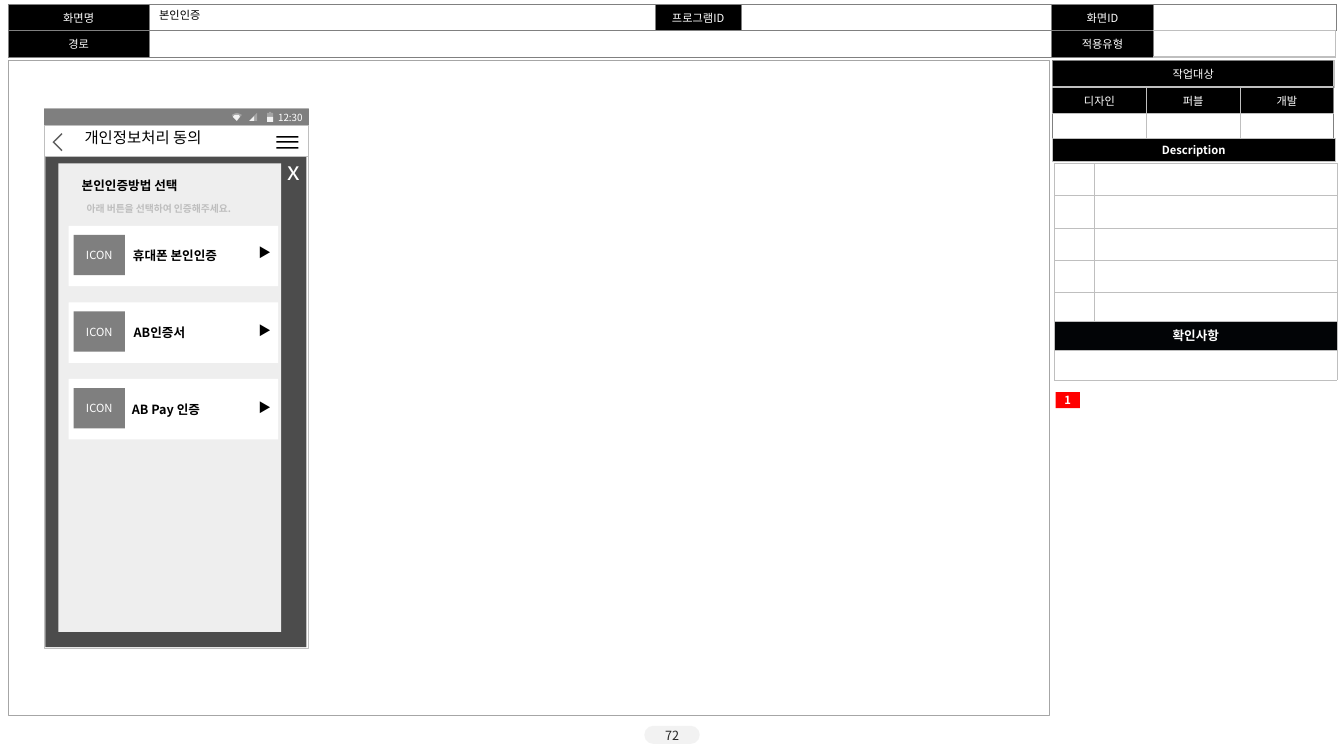
"""Wireframe slide: identity verification screen with its specification tables."""
import pptx
import pptx.dml.color
import pptx.enum.shapes
import pptx.enum.text
import pptx.oxml.ns
import pptx.util
from lxml import etree
from pptx.util import Inches


class Theme:
    font = "Noto Sans CJK KR"
    black, white, ink = "000000", "FFFFFF", "292929"
    notice, red, overlay = "020406", "FF0000", "4C4C4C"
    panel, pill, hint = "EEEEEE", "F2F2F2", "BEBEBE"
    icon, chevron = "7F7F7F", "5F5F5F"
    border, frame, rule = "808080", "A6A6A6", "BFBFBF"
    tiny, hint_size, small, medium, heading, close = 6, 7, 8, 9, 11, 18


qn = pptx.oxml.ns.qn
rgb = pptx.dml.color.RGBColor.from_string
RECT = pptx.enum.shapes.MSO_SHAPE.RECTANGLE
PILL = pptx.enum.shapes.MSO_SHAPE.ROUNDED_RECTANGLE
MIDDLE = pptx.enum.text.MSO_ANCHOR.MIDDLE
LEFT, CENTER = pptx.enum.text.PP_ALIGN.LEFT, pptx.enum.text.PP_ALIGN.CENTER


def write(tf, text, size, color, bold=False, align=CENTER, spacing=None):
    """Put one styled run in the first paragraph of a text frame."""
    p = tf.paragraphs[0]
    p.alignment = align
    if spacing:
        p.line_spacing = spacing
    r = p.add_run()
    r.text = text
    r.font.size = pptx.util.Pt(size)
    r.font.bold = bold
    r.font.color.rgb = rgb(color)
    r.font.name = Theme.font
    etree.SubElement(r.font._element, qn("a:ea"), typeface=Theme.font)


def paint(sp, fill, line=None, weight=0.25, alpha=None):
    """Give a shape its fill, outline and opacity."""
    sp.shadow.inherit = False
    if fill:
        sp.fill.solid()
        sp.fill.fore_color.rgb = rgb(fill)
    else:
        sp.fill.background()
    if alpha:
        color = sp._element.spPr.find(qn("a:solidFill"))[0]
        etree.SubElement(color, qn("a:alpha"), val=str(alpha * 1000))
    if line:
        sp.line.color.rgb = rgb(line)
        sp.line.width = pptx.util.Pt(weight)
    else:
        sp.line.fill.background()


prs = pptx.Presentation()
prs.slide_width, prs.slide_height = Inches(13.33), Inches(7.5)
s = prs.slides.add_slide(prs.slide_layouts[6])

thin, mid, thick = (Theme.border, 0.25), (Theme.border, 0.75), (Theme.rule, 1)
pale = (Theme.rule, 0.25)
tables = [
    dict(at=(0.08, 0.04), cols=[1.4, 5.02, 0.85, 3.08, 1.01, 1.81], rows=[0.25] * 2,
         outer=thin, inner=thin, spans=[((1, 1), (1, 3))], fill=None,
         head=Theme.black, size=Theme.small, bold=False, margin=(0.1, 0.05), spacing=None,
         labels={(0, 0): "화면명", (0, 2): "프로그램ID", (0, 4): "화면ID",
                 (1, 0): "경로", (1, 4): "적용유형"},
         edges={(0, 5, "B"): thick, (1, 5, "T"): thick, (1, 5, "R"): thick, (1, 5, "B"): thick}),
    dict(at=(10.44, 0.6), cols=[0.93] * 3, rows=[0.25] * 3,
         outer=mid, inner=thick, spans=[((0, 0), (0, 2))], fill=Theme.white,
         head=Theme.black, size=Theme.small, bold=False, margin=(0.1, 0.05), spacing=None,
         labels={(0, 0): "작업대상", (1, 0): "디자인", (1, 1): "퍼블", (1, 2): "개발"}, edges={}),
    dict(at=(10.46, 1.62), cols=[0.39, 2.41], rows=[0.32] * 4 + [0.29] * 3,
         outer=pale, inner=pale, spans=[((5, 0), (5, 1)), ((6, 0), (6, 1))], fill=Theme.white,
         head=Theme.notice, size=Theme.medium, bold=True, margin=(0.04, 0.04),
         spacing=pptx.util.Pt(12), labels={(5, 0): "확인사항"}, edges={}),
]
for t in tables:
    cols, rows = t["cols"], t["rows"]
    box = [Inches(v) for v in (*t["at"], sum(cols), sum(rows))]
    tbl = s.shapes.add_table(len(rows), len(cols), *box).table
    tbl.first_row = tbl.horz_banding = False
    for column, width in zip(tbl.columns, cols):
        column.width = Inches(width)
    for row, height in zip(tbl.rows, rows):
        row.height = Inches(height)
    for i in range(len(rows)):
        for j in range(len(cols)):
            cell = tbl.cell(i, j)
            cell.margin_left = cell.margin_right = Inches(t["margin"][0])
            cell.margin_top = cell.margin_bottom = Inches(t["margin"][1])
            cell.vertical_anchor = MIDDLE
            outside = {"L": j == 0, "R": j == len(cols) - 1, "T": i == 0, "B": i == len(rows) - 1}
            for side, is_outer in outside.items():
                color, weight = t["edges"].get((i, j, side), t["outer" if is_outer else "inner"])
                ln = etree.SubElement(cell._tc.get_or_add_tcPr(), qn("a:ln" + side),
                                      w=str(pptx.util.Pt(weight)))
                etree.SubElement(etree.SubElement(ln, qn("a:solidFill")), qn("a:srgbClr"), val=color)
            label = t["labels"].get((i, j))
            fill = t["head"] if label else t["fill"]
            if fill:
                cell.fill.solid()
                cell.fill.fore_color.rgb = rgb(fill)
            else:
                cell.fill.background()
            if label:
                write(cell.text_frame, label, t["size"], Theme.white, t["bold"], spacing=t["spacing"])
            else:
                p = cell.text_frame.paragraphs[0]
                etree.SubElement(p._p, qn("a:endParaRPr"), sz=str(Theme.tiny * 100))
    for first, last in t["spans"]:
        tbl.cell(*first).merge(tbl.cell(*last))

blocks = [
    (RECT, (0.08, 0.6, 10.33, 6.5), None, Theme.frame, 0.25, None),
    (RECT, (10.44, 1.37, 2.8, 0.23), Theme.black, Theme.rule, 0.25, None),
    (PILL, (6.39, 7.2, 0.55, 0.18), Theme.pill, None, 0, None),
    (RECT, (0.44, 1.08, 2.62, 5.35), Theme.white, Theme.rule, 0.5, None),
    (RECT, (0.44, 1.08, 2.62, 0.17), Theme.black, None, 0, 50),
    (RECT, (0.44, 1.24, 2.62, 0.31), Theme.white, Theme.rule, 0.25, None),
    (RECT, (10.47, 3.89, 0.24, 0.16), Theme.red, None, 0, None),
    (RECT, (0.45, 1.56, 2.59, 4.86), Theme.overlay, None, 0, None),
    (RECT, (0.58, 1.62, 2.21, 4.65), Theme.panel, None, 0, None),
]
for i in range(3):
    blocks.append((RECT, (0.68, 2.24 + 0.76 * i, 2.08, 0.6), Theme.white, None, 0, None))
    blocks.append((RECT, (0.73, 2.33 + 0.76 * i, 0.51, 0.4), Theme.icon, None, 0, None))
for kind, box, fill, line, weight, alpha in blocks:
    sp = s.shapes.add_shape(kind, *[Inches(v) for v in box])
    paint(sp, fill, line, weight, alpha)
    if kind == PILL:
        sp.adjustments[0] = 0.5

battery_top = [(2.65, 1.16), (2.65, 1.12), (2.67, 1.12), (2.67, 1.11), (2.69, 1.11),
               (2.69, 1.12), (2.71, 1.12), (2.71, 1.16)]
battery_base = [(2.65, 1.16), (2.71, 1.16), (2.71, 1.21), (2.65, 1.21)]
signal_top = [(2.55, 1.12), (2.52, 1.15), (2.52, 1.2), (2.55, 1.2)]
signal_base = [(2.47, 1.2), (2.52, 1.2), (2.52, 1.15)]
wifi_top = [(2.3, 1.14), (2.32, 1.13), (2.35, 1.12), (2.38, 1.13), (2.4, 1.14),
            (2.38, 1.16), (2.35, 1.14), (2.31, 1.16)]
wifi_base = [(2.31, 1.16), (2.33, 1.14), (2.37, 1.14), (2.38, 1.16), (2.35, 1.2)]
menu = [[(2.74, y), (2.96, y), (2.96, y + 0.015), (2.74, y + 0.015)] for y in (1.35, 1.4, 1.46)]
back = [(0.61, 1.5), (0.62, 1.49), (0.54, 1.41), (0.62, 1.33), (0.61, 1.32), (0.52, 1.41)]
icons = [
    ([battery_top], Theme.white, 30), ([battery_base], Theme.white, 90),
    ([signal_top], Theme.white, 30), ([signal_base], Theme.white, 90),
    ([wifi_top], Theme.white, 30), ([wifi_base], Theme.white, 90),
    (menu, Theme.black, None), ([back], Theme.chevron, None),
]
for contours, fill, alpha in icons:
    outlines = [[(Inches(x), Inches(y)) for x, y in contour] for contour in contours]
    builder = s.shapes.build_freeform(*outlines[0][0])
    for outline in outlines:
        builder.move_to(*outline[0])
        builder.add_line_segments(outline[1:], close=True)
    paint(builder.convert_to_shape(), fill, alpha=alpha)

texts = [
    ((1.48, 0.05, 5.01, 0.22), "본인인증", Theme.small, Theme.black, False, LEFT, 0.9),
    ((0.74, 1.25, 1.97, 0.24), "개인정보처리 동의", Theme.heading, Theme.black, False, LEFT, 0.9),
    ((2.7, 1.08, 0.36, 0.17), "12:30", Theme.hint_size, Theme.white, False, CENTER, None),
    ((10.44, 1.37, 2.8, 0.23), "Description", Theme.small, Theme.white, True, CENTER, None),
    ((6.51, 7.22, 0.31, 0.15), "72", Theme.medium, Theme.ink, False, CENTER, None),
    ((10.47, 3.89, 0.24, 0.16), "1", Theme.small, Theme.white, True, CENTER, None),
    ((2.75, 1.53, 0.32, 0.32), "x", Theme.close, Theme.white, False, CENTER, None),
    ((0.45, 1.73, 1.67, 0.23), "본인인증방법 선택", Theme.medium, Theme.black, True, CENTER, None),
    ((0.63, 1.97, 1.89, 0.2), "아래 버튼을 선택하여 인증해주세요.", Theme.hint_size, Theme.hint,
     True, CENTER, None),
    ((1.13, 2.45, 1.21, 0.17), "휴대폰 본인인증", Theme.medium, Theme.black, True, CENTER, None),
    ((1.19, 3.22, 0.78, 0.16), "AB인증서", Theme.medium, Theme.black, True, CENTER, None),
    ((1.17, 3.97, 0.95, 0.18), "AB Pay 인증", Theme.medium, Theme.black, True, CENTER, None),
]
for i in range(3):
    texts.append(((0.73, 2.33 + 0.76 * i, 0.51, 0.4), "ICON", Theme.small, Theme.white,
                  False, CENTER, None))
    texts.append(((2.47, 2.39 + 0.77 * i, 0.31, 0.23), "▶", Theme.medium, Theme.black,
                  True, CENTER, None))
for box, text, size, color, bold, align, spacing in texts:
    tf = s.shapes.add_textbox(*[Inches(v) for v in box]).text_frame
    tf.word_wrap = True
    tf.vertical_anchor = MIDDLE
    tf.margin_left = tf.margin_right = Inches(0.1 if align == LEFT else 0)
    tf.margin_top = tf.margin_bottom = 0
    write(tf, text, size, color, bold, align, spacing)

prs.save("out.pptx")
